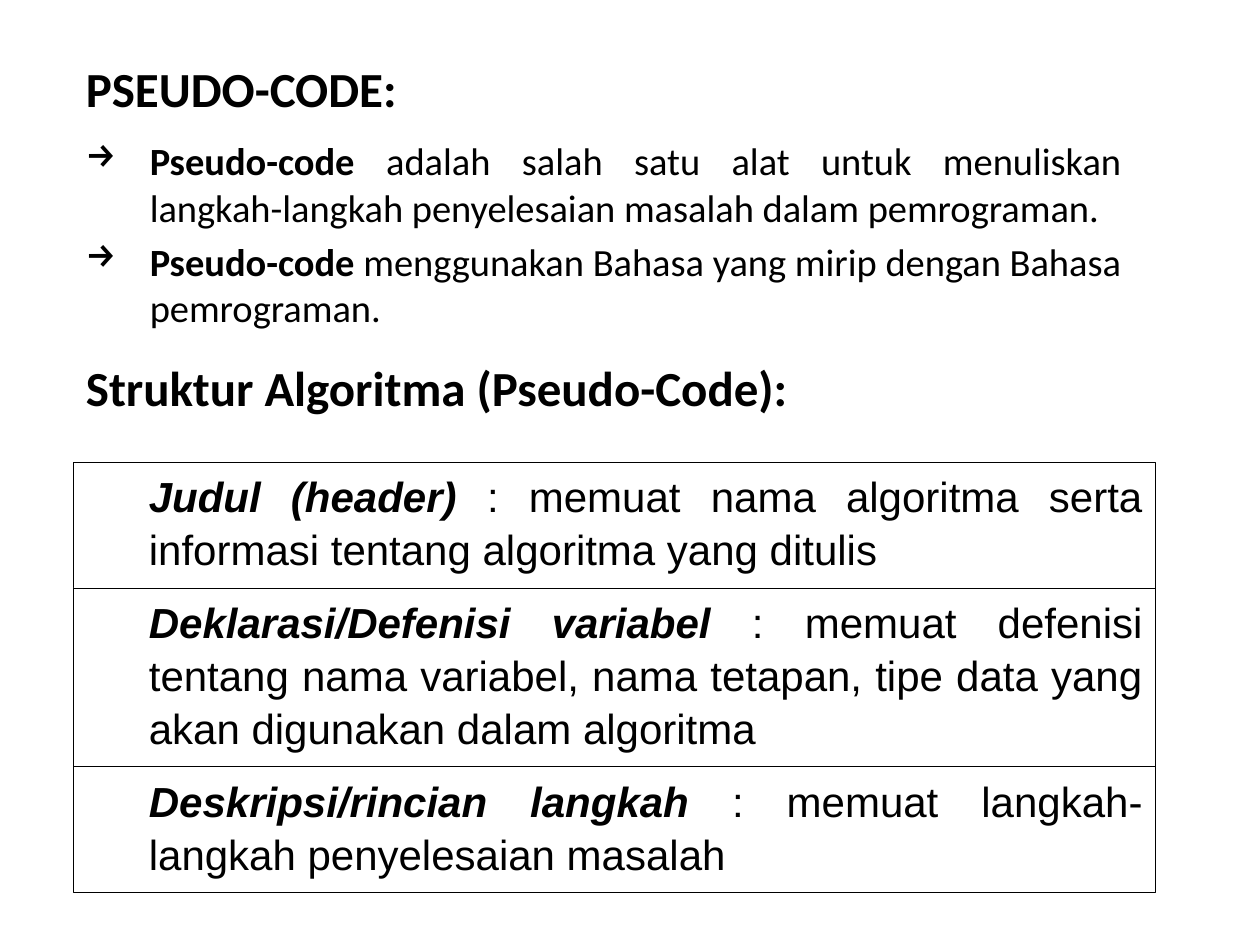
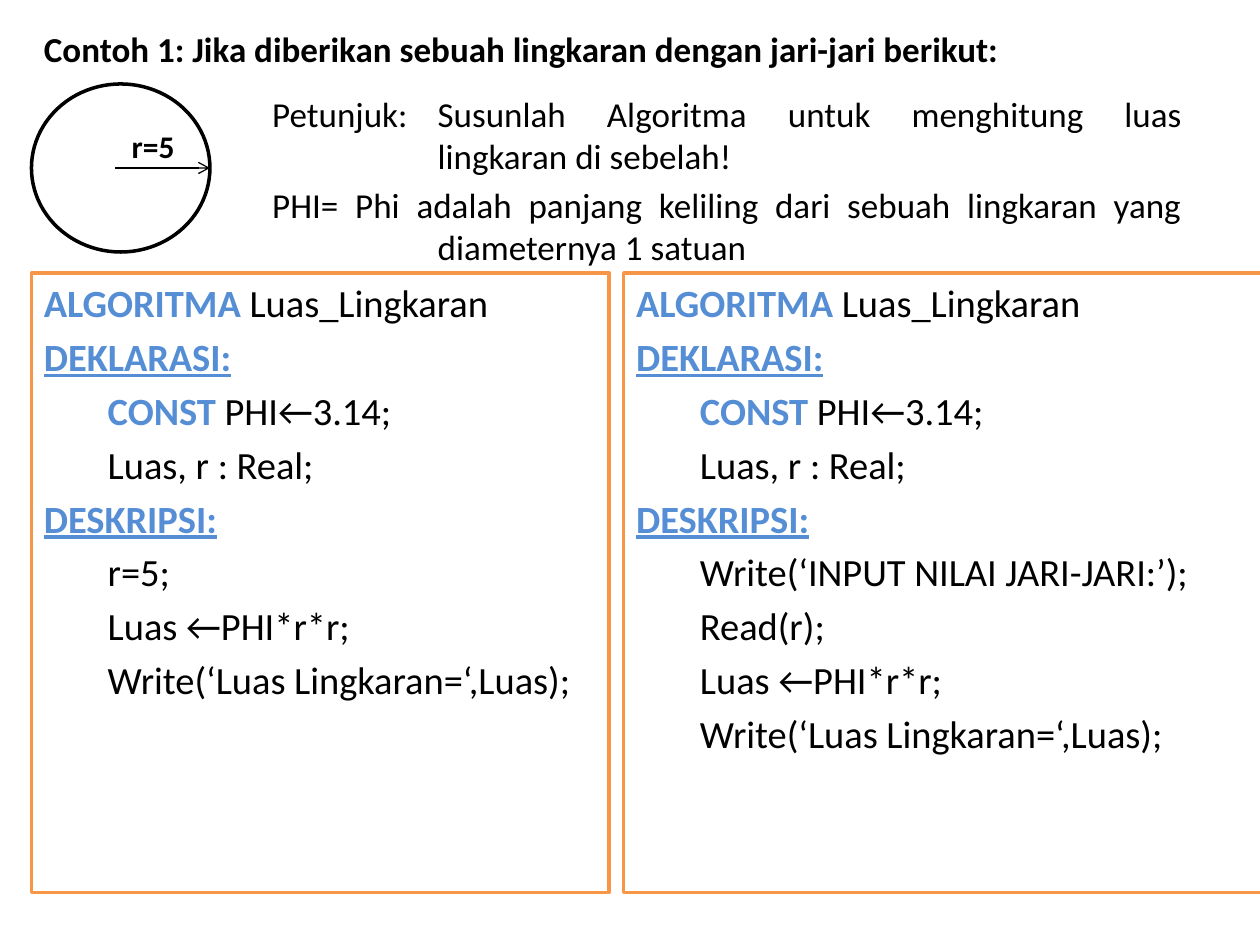
"""Build two slides that introduce pseudo-code and work through a circle-area example."""

from dataclasses import dataclass
from itertools import accumulate

from lxml import etree
from pptx import Presentation
from pptx import slide as slides
from pptx import util as u
from pptx.dml import color
from pptx.enum import shapes, text
from pptx.oxml import ns
from pptx.shapes import autoshape

COLOURS = {"ink": "000000", "paper": "FFFFFF", "keyword": "558ED5", "panel": "F79646"}
HANG = 36.5
BODY_SIZE = 22


@dataclass(frozen=True)
class Box:
    """A rectangle in points."""

    left: float
    top: float
    width: float
    height: float

    def lengths(self) -> tuple[u.Length, ...]:
        """Return the four sides as lengths."""
        return tuple(u.Pt(side) for side in (self.left, self.top, self.width, self.height))


@dataclass(frozen=True)
class Run:
    """A stretch of text in one style."""

    words: str
    bold: bool = False
    italic: bool = False
    underline: bool = False
    colour: str = "ink"


@dataclass(frozen=True)
class Line:
    """A paragraph of pseudo-code, indented or not."""

    runs: tuple[Run, ...]
    indented: bool = False


@dataclass(frozen=True)
class Panel:
    """A framed listing of pseudo-code."""

    box: Box
    steps: tuple[str, ...]


TITLES = (
    ("PSEUDO-CODE:", Box(42, 30, 606, 42)),
    ("Struktur Algoritma (Pseudo-Code):", Box(42, 201, 606, 42)),
)
DEFINITIONS = (
    "adalah salah satu alat untuk menuliskan langkah-langkah penyelesaian masalah dalam pemrograman.",
    "menggunakan Bahasa yang mirip dengan Bahasa pemrograman.",
)
PARTS = (
    ("Judul (header)", "memuat nama algoritma serta informasi tentang algoritma yang ditulis", 72),
    (
        "Deklarasi/Defenisi variabel",
        "memuat defenisi tentang nama variabel, nama tetapan, tipe data yang akan digunakan dalam algoritma",
        102,
    ),
    ("Deskripsi/rincian langkah", "memuat langkah-langkah penyelesaian masalah", 72),
)
PARTS_TOP = 264
HINTS = (
    "Petunjuk:\tSusunlah Algoritma untuk menghitung luas lingkaran di sebelah!",
    "PHI= Phi adalah panjang keliling dari sebuah lingkaran yang diameternya 1 satuan",
)
RESULT_STEPS = ("Luas ←PHI*r*r;", "Write(‘Luas Lingkaran=‘,Luas);")
PANELS = (
    Panel(Box(18, 156, 330, 354), ("r=5;", *RESULT_STEPS)),
    Panel(Box(356.4, 156, 369.6, 354), ("Write(‘INPUT NILAI JARI-JARI:’);", "Read(r);", *RESULT_STEPS)),
)


def rgb(name: str) -> color.RGBColor:
    """Return a named colour."""
    return color.RGBColor.from_string(COLOURS[name])


def add_text(
    shape: autoshape.Shape,
    *runs: Run,
    size: float,
    font: str = "Calibri",
    align: text.PP_ALIGN = text.PP_ALIGN.JUSTIFY,
    margin: float = 0,
    indent: float = 0,
    before: float = 0.2,
    after: float = 0,
    spacing: float = 1,
    bullet: str = "",
) -> None:
    """Append a formatted paragraph, with space before as a share of the size."""
    frame = shape.text_frame
    frame.word_wrap = True
    frame.vertical_anchor = text.MSO_ANCHOR.TOP
    paragraph = frame.paragraphs[0] if not frame.text else frame.add_paragraph()
    paragraph.alignment = align
    paragraph.space_before = u.Pt(before * size)
    paragraph.space_after = u.Pt(after)
    paragraph.line_spacing = spacing
    properties = paragraph._p.get_or_add_pPr()
    properties.set("marL", str(u.Pt(margin)))
    properties.set("indent", str(u.Pt(indent)))
    if bullet:
        etree.SubElement(properties, ns.qn("a:buChar")).set("char", bullet)
    for part in runs:
        run = paragraph.add_run()
        run.text = part.words
        run.font.name = font
        run.font.size = u.Pt(size)
        run.font.bold = part.bold
        run.font.italic = part.italic
        run.font.underline = part.underline
        run.font.color.rgb = rgb(part.colour)


def add_text_box(slide: slides.Slide, box: Box) -> autoshape.Shape:
    """Add an empty text box."""
    return slide.shapes.add_textbox(*box.lengths())


def add_outline(
    slide: slides.Slide,
    box: Box,
    kind: shapes.MSO_SHAPE = shapes.MSO_SHAPE.RECTANGLE,
    colour: str = "ink",
    weight: float = 2,
) -> autoshape.Shape:
    """Add a paper-filled shape with a coloured line."""
    shape = slide.shapes.add_shape(kind, *box.lengths())
    shape.shadow.inherit = False
    shape.fill.solid()
    shape.fill.fore_color.rgb = rgb("paper")
    shape.line.color.rgb = rgb(colour)
    shape.line.width = u.Pt(weight)
    return shape


def add_arrow(slide: slides.Slide, left: float, right: float, height: float) -> None:
    """Draw a thin horizontal arrow that points right."""
    ends = (u.Pt(side) for side in (left, height, right, height))
    connector = slide.shapes.add_connector(shapes.MSO_CONNECTOR.STRAIGHT, *ends)
    connector.line.color.rgb = rgb("ink")
    connector.line.width = u.Pt(0.75)
    etree.SubElement(connector.line._get_or_add_ln(), ns.qn("a:tailEnd")).set("type", "arrow")
    etree.SubElement(connector._element.spPr, ns.qn("a:effectLst"))


def add_panel(slide: slides.Slide, panel: Panel) -> None:
    """Draw a framed pseudo-code listing."""
    shape = add_outline(slide, panel.box, colour="panel")
    lines = (
        Line((Run("ALGORITMA ", bold=True, colour="keyword"), Run("Luas_Lingkaran"))),
        Line((Run("DEKLARASI:", bold=True, underline=True, colour="keyword"),)),
        Line((Run("CONST ", bold=True, colour="keyword"), Run("PHI←3.14;")), indented=True),
        Line((Run("Luas, r : Real;"),), indented=True),
        Line((Run("DESKRIPSI:", bold=True, underline=True, colour="keyword"),)),
        *(Line((Run(step),), indented=True) for step in panel.steps),
    )
    for line in lines:
        indent = 0 if line.indented else -HANG
        add_text(shape, *line.runs, size=BODY_SIZE, margin=HANG, indent=indent)


def build_structure(slide: slides.Slide) -> None:
    """Define pseudo-code and list the parts of an algorithm."""
    for title, box in TITLES:
        add_text(add_text_box(slide, box), Run(title, bold=True), size=28, margin=HANG, indent=-HANG)
    tops = accumulate((height for _, _, height in PARTS), initial=PARTS_TOP)
    for (name, meaning, height), top in zip(PARTS, tops):
        shape = add_outline(slide, Box(42, top, 618, height), weight=0.25)
        add_text(
            shape,
            Run(name, bold=True, italic=True),
            Run(f" : {meaning}"),
            size=24,
            font="Arial",
            margin=36,
            before=0,
            after=10,
            spacing=1.05,
        )
    body = add_text_box(slide, Box(42, 75, 606, 126))
    for definition in DEFINITIONS:
        add_text(
            body,
            Run("Pseudo-code ", bold=True),
            Run(definition),
            size=BODY_SIZE,
            margin=HANG,
            indent=-HANG,
            bullet="→",
        )


def build_example(slide: slides.Slide) -> None:
    """Show the circle, its hints and two listings."""
    heading = Run("Contoh 1: Jika diberikan sebuah lingkaran dengan jari-jari berikut:", bold=True)
    add_text(add_text_box(slide, Box(18, 12, 600, 120)), heading, size=20)
    hints = add_text_box(slide, Box(148.5, 49.5, 534, 66))
    for hint in HINTS:
        add_text(hints, Run(hint), size=20, margin=94.5, indent=-94.5)
    add_outline(slide, Box(18, 48, 102, 96), kind=shapes.MSO_SHAPE.OVAL)
    add_arrow(slide, left=66, right=120, height=96)
    radius = add_text_box(slide, Box(66, 69, 43, 27))
    add_text(radius, Run("r=5", bold=True), size=18, align=text.PP_ALIGN.CENTER)
    for panel in PANELS:
        add_panel(slide, panel)


def main() -> None:
    """Build and save the presentation."""
    presentation = Presentation()
    presentation.slide_width, presentation.slide_height = u.Pt(720), u.Pt(540)
    blank = presentation.slide_layouts[6]
    for build in (build_structure, build_example):
        build(presentation.slides.add_slide(blank))
    presentation.save("out.pptx")


main()
